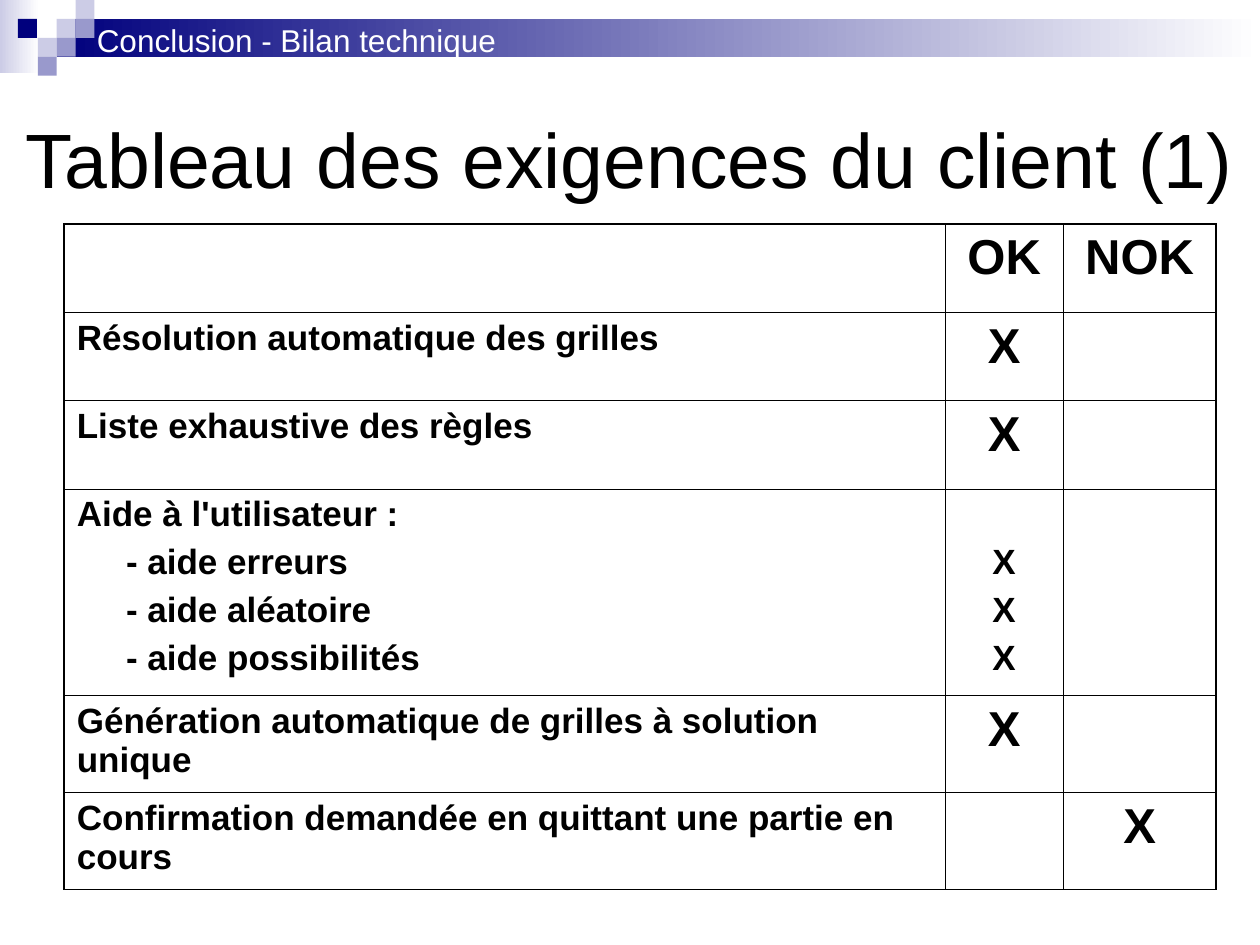
from lxml import etree
from pptx import Presentation, util as u
from pptx.dml.color import RGBColor
from pptx.enum import shapes, text
from pptx.oxml.ns import qn

BLACK, WHITE, NAVY, LILAC, MAUVE = "000000", "FFFFFF", "00007D", "CCCCE6", "9999CC"
UNIT = 0.15


def paint(fmt, color, end=None):
    if end:
        fmt.gradient()
        fmt.gradient_angle = 0
        for stop, shade in zip(fmt.gradient_stops, (color, end)):
            stop.color.rgb = RGBColor.from_string(shade)
    else:
        fmt.solid()
        fmt.fore_color.rgb = RGBColor.from_string(color)


def write(tf, lines, size, color=BLACK, bold=False, align="LEFT", before=0, indent=0):
    for i, line in enumerate(lines):
        p = tf.add_paragraph() if i else tf.paragraphs[0]
        p.alignment = getattr(text.PP_ALIGN, align)
        if i:
            p.space_before = u.Pt(before)
            p._p.get_or_add_pPr().set("marL", str(u.Inches(indent)))
        r = p.add_run()
        r.text = line
        r.font.name, r.font.size, r.font.bold = "Arial", u.Pt(size), bold
        paint(r.font.fill, color)


prs = Presentation()
prs.slide_width, prs.slide_height = u.Inches(10), u.Inches(7.5)
s = prs.slides.add_slide(prs.slide_layouts[5])

blocks = [
    (0, 0, 2.07, 3.87, LILAC, WHITE),
    (3, 1, 63.67, 2, NAVY, WHITE),
    (3, 1, 1, 1, LILAC, None),
    (4, 0, 1, 1, LILAC, None),
    (4, 1, 1, 1, MAUVE, None),
    (2, 2, 1, 1, LILAC, None),
    (0.95, 1, 1, 1, NAVY, None),
    (3, 2, 1, 1, MAUVE, None),
    (2, 3, 1, 1, MAUVE, None),
]
for col, row, wide, high, color, end in blocks:
    sp = s.shapes.add_shape(shapes.MSO_SHAPE.RECTANGLE,
                            *(u.Inches(n * UNIT) for n in (col, row, wide, high)))
    sp.shadow.inherit = False
    sp.line.fill.background()
    paint(sp.fill, color, end)

title = s.shapes.title
title.left, title.top = 0, u.Inches(0.5)
title.width, title.height = prs.slide_width, u.Inches(1.5)
title.text_frame.vertical_anchor = text.MSO_ANCHOR.MIDDLE
write(title.text_frame, ["Tableau des exigences du client (1)"], 44, align="CENTER")

widths = [6.99, 0.94, 1.21]
heights = [0.7, 0.7, 0.7, 1.64, 0.77, 0.77]
rows = [
    ([], ["OK"], ["NOK"]),
    (["Résolution automatique des grilles"], ["X"], []),
    (["Liste exhaustive des règles"], ["X"], []),
    (["Aide à l'utilisateur :", "- aide erreurs", "- aide aléatoire", "- aide possibilités"],
     ["X", "X", "X"], []),
    (["Génération automatique de grilles à solution unique"], ["X"], []),
    (["Confirmation demandée en quittant une partie en cours"], [], ["X"]),
]
table = s.shapes.add_table(len(rows), len(widths), u.Inches(0.51), u.Inches(1.78),
                           u.Inches(sum(widths)), u.Inches(sum(heights))).table
table.first_row = table.horz_banding = False
for column, width in zip(table.columns, widths):
    column.width = u.Inches(width)
for y, (row, height) in enumerate(zip(rows, heights)):
    table.rows[y].height = u.Inches(height)
    for x, lines in enumerate(row):
        cell = table.cell(y, x)
        cell.fill.background()
        if x == 0:
            write(cell.text_frame, lines, 20, bold=True, before=5, indent=0.39)
        else:
            stacked = len(lines) > 1
            cell.margin_top = u.Inches(0.43 if stacked else 0.05)
            write(cell.text_frame, lines, 20 if stacked else 28, bold=True,
                  align="CENTER", before=5)
        outer = {"L": x == 0, "R": x == len(widths) - 1,
                 "T": y == 0, "B": y == len(rows) - 1}
        tcPr = cell._tc.get_or_add_tcPr()
        for i, (side, edge) in enumerate(outer.items()):
            ln = etree.Element(qn(f"a:ln{side}"), w=str(u.Pt(1.08 if edge else 0.45)))
            fill = etree.SubElement(ln, qn("a:solidFill"))
            etree.SubElement(fill, qn("a:srgbClr"), val=BLACK)
            tcPr.insert(i, ln)

header = s.shapes.add_textbox(u.Inches(0.67), u.Inches(0.12), u.Inches(9.17), u.Inches(0.4))
header.text_frame.word_wrap = True
write(header.text_frame, ["Conclusion - Bilan technique"], 18, WHITE)

prs.save("out.pptx")
